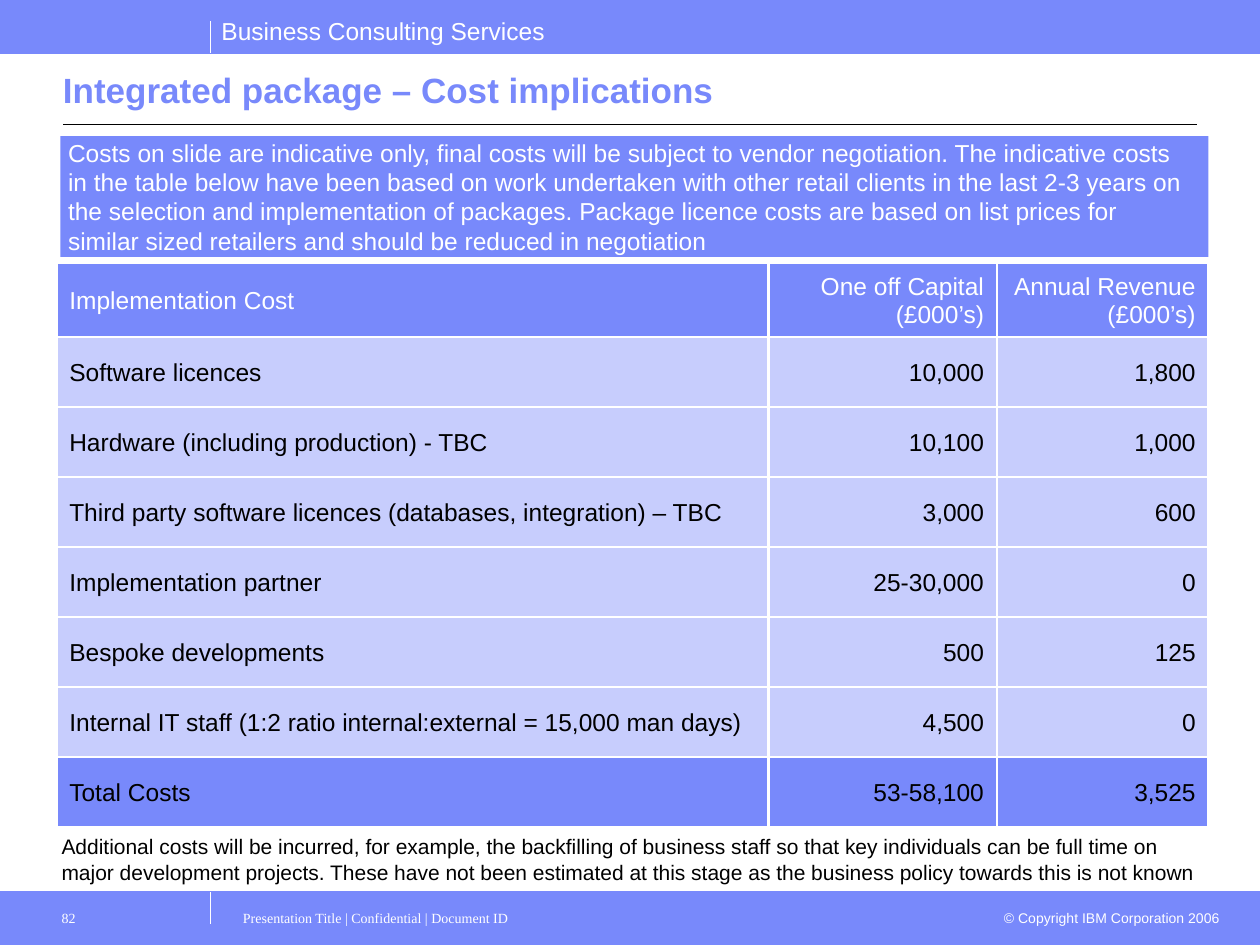
import pptx
import pptx.dml.color
import pptx.enum.shapes
import pptx.enum.text
import pptx.oxml
import pptx.oxml.ns
import pptx.util
from pptx.util import Inches

ALIGN = pptx.enum.text.PP_ALIGN
ANCHOR = pptx.enum.text.MSO_ANCHOR

THEME = {
    "blue": "7889FB", "pale": "C7CDFD", "white": "FFFFFF", "black": "000000",
    "sans": "Arial", "serif": "Times New Roman",
    "title": 20, "body": 14, "note": 12, "foot": 8,
}

BRAND = "Business Consulting Services"
TITLE = "Integrated package – Cost implications"
INTRO = (
    "Costs on slide are indicative only, final costs will be subject to vendor "
    "negotiation. The indicative costs in the table below have been based on work "
    "undertaken with other retail clients in the last 2-3 years on the selection and "
    "implementation of packages. Package licence costs are based on list prices for "
    "similar sized retailers and should be reduced in negotiation"
)
COSTS = [
    ("Implementation Cost", "One off Capital (£000’s)", "Annual Revenue (£000’s)"),
    ("Software licences", "10,000", "1,800"),
    ("Hardware (including production) - TBC", "10,100", "1,000"),
    ("Third party software licences (databases, integration) – TBC", "3,000", "600"),
    ("Implementation partner", "25-30,000", "0"),
    ("Bespoke developments", "500", "125"),
    ("Internal IT staff (1:2 ratio internal:external = 15,000 man days)", "4,500", "0"),
    ("Total Costs", "53-58,100", "3,525"),
]
NOTE = (
    "Additional costs will be incurred, for example, the backfilling of business staff "
    "so that key individuals can be full time on major development projects. These have "
    "not been estimated at this stage as the business policy towards this is not known"
)
FOOTER = "Presentation Title | Confidential | Document ID"
PAGE = "82"
RIGHTS = "© Copyright IBM Corporation 2006"

WIDE, HIGH = 10, 7.5
BAR = 0.42
TICK_X, TICK = 1.67, 0.25
TABLE_AT = (0.45, 2.09)
TABLE_HIGH, HEAD_HIGH = 4.47, 0.58
COLUMNS = (5.65, 1.81, 1.68)


def paint(name):
    return pptx.dml.color.RGBColor.from_string(THEME[name])


def style(para, size, color, face="sans", align=ALIGN.LEFT, bold=False):
    para.alignment = align
    para.font.size = pptx.util.Pt(THEME[size])
    para.font.name = THEME[face]
    para.font.bold = bold
    para.font.color.rgb = paint(color)


def fill_text(shape, text, size, color, inset=(0.1, 0.05, 0.1, 0.05),
              anchor=ANCHOR.TOP, wrap=True, **look):
    frame = shape.text_frame
    frame.word_wrap = wrap
    frame.vertical_anchor = anchor
    (frame.margin_left, frame.margin_top,
     frame.margin_right, frame.margin_bottom) = map(Inches, inset)
    frame.text = text
    style(frame.paragraphs[0], size, color, **look)


def add_text(slide, box, text, size, color, **look):
    shape = slide.shapes.add_textbox(*map(Inches, box))
    fill_text(shape, text, size, color, **look)


def add_block(slide, box, edge=None):
    kind = pptx.enum.shapes.MSO_SHAPE.RECTANGLE
    shape = slide.shapes.add_shape(kind, *map(Inches, box))
    shape.shadow.inherit = False
    shape.fill.solid()
    shape.fill.fore_color.rgb = paint("blue")
    if edge:
        shape.line.color.rgb = paint("blue")
        shape.line.width = pptx.util.Pt(edge)
    else:
        shape.line.fill.background()
    return shape


def add_rule(slide, ends, color, width=0.75):
    kind = pptx.enum.shapes.MSO_CONNECTOR.STRAIGHT
    rule = slide.shapes.add_connector(kind, *map(Inches, ends))
    rule.line.color.rgb = paint(color)
    rule.line.width = pptx.util.Pt(width)
    rule._element.spPr.append(pptx.oxml.parse_xml(
        f"<a:effectLst {pptx.oxml.ns.nsdecls('a')}/>"))


def edge_cell(cell, color, width):
    """Draw all four borders; call before the fill is set, as borders come first."""
    props = cell._tc.get_or_add_tcPr()
    for side in ("lnL", "lnR", "lnT", "lnB"):
        props.append(pptx.oxml.parse_xml(
            f"<a:{side} {pptx.oxml.ns.nsdecls('a')} w='{pptx.util.Pt(width)}'>"
            f"<a:solidFill><a:srgbClr val='{THEME[color]}'/></a:solidFill></a:{side}>"))


def add_costs(slide):
    box = (*TABLE_AT, sum(COLUMNS), TABLE_HIGH)
    table = slide.shapes.add_table(
        len(COSTS), len(COLUMNS), *map(Inches, box)).table
    table.horz_banding = False
    for column, width in zip(table.columns, COLUMNS):
        column.width = Inches(width)
    last = len(COSTS) - 1
    for r, row in enumerate(COSTS):
        table.rows[r].height = Inches(
            (TABLE_HIGH - HEAD_HIGH) / last if r else HEAD_HIGH)
        for c, text in enumerate(row):
            cell = table.cell(r, c)
            edge_cell(cell, "white", 1.5)
            cell.fill.solid()
            cell.fill.fore_color.rgb = paint("blue" if r in (0, last) else "pale")
            cell.vertical_anchor = ANCHOR.MIDDLE
            cell.text = text
            para = cell.text_frame.paragraphs[0]
            para.line_spacing = 1.04
            style(para, "body", "black" if r else "white",
                  align=ALIGN.RIGHT if c else ALIGN.LEFT)


def add_frame(slide):
    """Add the top and bottom bars with their ticks, edges and captions."""
    base = HIGH - BAR
    for top, edge, tick in ((base, base, base), (0, BAR, BAR - TICK)):
        add_block(slide, (0, top, WIDE, BAR), edge=0.75)
        add_rule(slide, (0, edge, WIDE, edge), "blue", 0.5)
        add_rule(slide, (TICK_X, tick, TICK_X, tick + TICK), "white")
    add_text(slide, (1.66, 0.08, 2.77, 0.34), BRAND, "body", "white", wrap=False)
    add_text(slide, (7.83, 7.17, 1.95, 0.24), RIGHTS, "foot", "white",
             align=ALIGN.RIGHT)
    for left, width, inset, text in ((1.83, 6, 0.1, FOOTER), (0.33, 1.33, 0.16, PAGE)):
        add_text(slide, (left, 7.15, width, 0.35), text, "foot", "white",
                 face="serif", inset=(inset, 0.07, 0.1, 0.05))


def main():
    deck = pptx.Presentation()
    deck.slide_width, deck.slide_height = Inches(WIDE), Inches(HIGH)
    slide = deck.slides.add_slide(deck.slide_layouts[6])
    add_frame(slide)
    add_rule(slide, (0.5, 0.99, 9.5, 0.99), "black")
    add_text(slide, (0.5, 0.51, 9, 0.4), TITLE, "title", "blue", bold=True,
             inset=(0, 0.05, 0, 0.05), anchor=ANCHOR.MIDDLE)
    add_costs(slide)
    intro = add_block(slide, (0.48, 1.08, 9.11, 0.96))
    fill_text(intro, INTRO, "body", "white",
              inset=(0.06, 0.05, 0.16, 0.05), anchor=ANCHOR.MIDDLE)
    add_text(slide, (0.39, 6.57, 9.3, 0.5), NOTE, "note", "black")
    deck.save("out.pptx")


if __name__ == "__main__":
    main()
